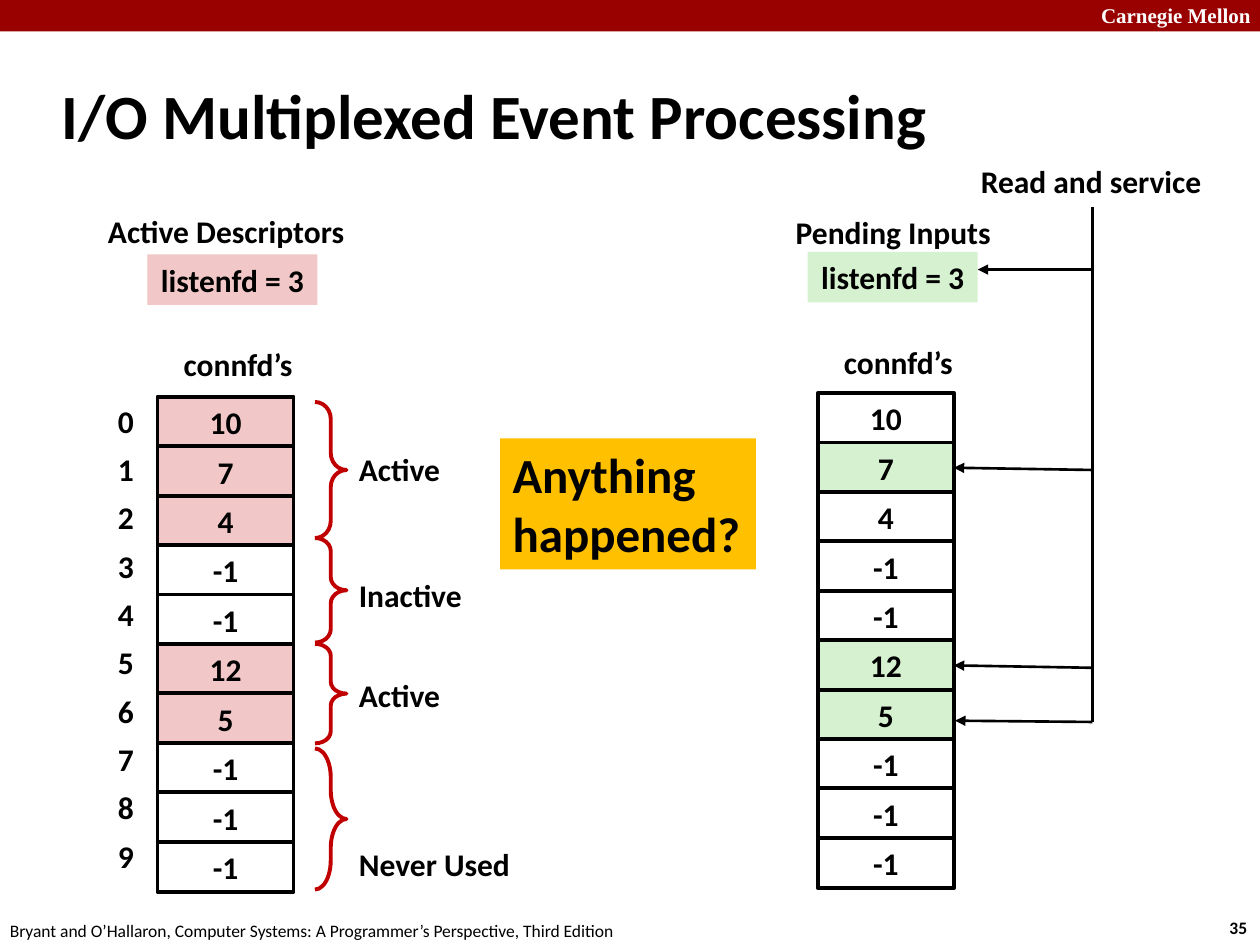
from typing import NamedTuple
from lxml import etree
from pptx import Presentation, util as u
from pptx.dml.color import RGBColor
from pptx.enum import shapes as sh, text as tx
from pptx.oxml.ns import qn

BLACK, WHITE, RED, PINK, GREEN = "000000", "FFFFFF", "C00000", "F1C7C7", "D5F1CF"
LEFT, MID, RIGHT = tx.PP_ALIGN.LEFT, tx.PP_ALIGN.CENTER, tx.PP_ALIGN.RIGHT
TOP, CENTER = tx.MSO_ANCHOR.TOP, tx.MSO_ANCHOR.MIDDLE
VALUES = [10, 7, 4, -1, -1, 12, 5, -1, -1, -1]
ROW = 0.4
CELL_STEP = 3.53 / 9
INDEX_STEP = 3.45 / 9


class Box(NamedTuple):
    x: float
    y: float
    w: float
    h: float = ROW


class Label(NamedTuple):
    box: Box
    words: str
    align: int = LEFT
    fmt: dict = {}


class Brace(NamedTuple):
    y: float
    h: float
    curve: float
    words: str
    word_y: float
    word_w: float


class Stack(NamedTuple):
    x: float
    y: float
    fill: str
    marked: set


def rgb(code: str) -> RGBColor:
    return RGBColor.from_string(code)


def inches(*sizes: float) -> list:
    return [u.Inches(size) for size in sizes]


def write(shape, words: str, align: int = LEFT, anchor=TOP, wrap: bool = True, **fmt) -> None:
    frame = shape.text_frame
    frame.text = words
    frame.auto_size = tx.MSO_AUTO_SIZE.NONE
    frame.word_wrap, frame.vertical_anchor = wrap, anchor
    look = {"name": "Calibri", "size": 18, "bold": True, "color": BLACK} | fmt
    color, look["size"] = rgb(look.pop("color")), u.Pt(look["size"])
    for para in frame.paragraphs:
        para.alignment = align
        for key, value in look.items():
            setattr(para.font, key, value)
        para.font.color.rgb = color


def add_label(slide, label: Label) -> None:
    area = slide.shapes.add_textbox(*inches(*label.box))
    write(area, label.words, label.align, **({"wrap": False} | label.fmt))


def add_block(slide, box: Box, fill: str = "", line: str = "",
              kind=sh.MSO_SHAPE.RECTANGLE):
    block = slide.shapes.add_shape(kind, *inches(*box))
    block.shadow.inherit = False
    if fill:
        block.fill.solid()
        block.fill.fore_color.rgb = rgb(fill)
    else:
        block.fill.background()
    if line:
        block.line.color.rgb = rgb(line)
        block.line.width = u.Pt(2.25)
    else:
        block.line.fill.background()
    return block


def add_stack(slide, stack: Stack) -> list:
    """Draw the column of descriptor cells and return them."""
    cells = []
    for row, value in enumerate(VALUES):
        fill = stack.fill if row in stack.marked else WHITE
        box = Box(stack.x, stack.y + row * CELL_STEP, 1.08)
        cell = add_block(slide, box, fill, BLACK)
        write(cell, str(value), MID, CENTER)
        cells.append(cell)
    return cells


def add_brace(slide, brace: Brace) -> None:
    mark = add_block(slide, Box(2.5, brace.y, 0.25, brace.h), line=RED,
                     kind=sh.MSO_SHAPE.RIGHT_BRACE)
    mark.adjustments[0] = brace.curve
    add_label(slide, Label(Box(2.75, brace.word_y, brace.word_w), brace.words))


def add_line(slide, x1: float, y1: float, x2: float, y2: float,
             arrow: bool = True, target=None) -> None:
    line = slide.shapes.add_connector(sh.MSO_CONNECTOR.STRAIGHT, *inches(x1, y1, x2, y2))
    line.line.color.rgb = rgb(BLACK)
    line.line.width = u.Pt(1.5)
    if arrow:
        etree.SubElement(line.line._get_or_add_ln(), qn("a:tailEnd"), type="triangle")
    etree.SubElement(line._element.spPr, qn("a:effectLst"))
    if target is not None:
        line.end_connect(target, 3)


def add_title(slide, words: str) -> None:
    title = slide.shapes.title
    title.left, title.top, title.width, title.height = inches(0.39, 0.49, 8.3, 0.83)
    write(title, words, anchor=CENTER, size=36)
    props = title.text_frame.paragraphs[0]._p.get_or_add_pPr()
    props.set("marL", str(u.Inches(0.13)))
    props.set("indent", str(u.Inches(-0.13)))


LABELS = [
    Label(Box(8.64, -0.03, 1.43, 0.3), "Carnegie Mellon", LEFT,
          {"name": "Times New Roman", "size": 12, "color": WHITE}),
    Label(Box(9.66, 7.23, 0.37, 0.27), "35", LEFT, {"size": 10}),
    Label(Box(-0.02, 7.25, 5.08, 0.27),
          "Bryant and O’Hallaron, Computer Systems: A Programmer’s Perspective, Third Edition",
          LEFT, {"size": 10, "bold": False}),
    Label(Box(0.75, 1.63, 2.09), "Active Descriptors", MID),
    Label(Box(1.34, 2.69, 1.1), "connfd’s", MID),
    Label(Box(6, 1.64, 2.18), "Pending Inputs", MID),
    Label(Box(6.58, 2.67, 1.1), "connfd’s", MID),
    Label(Box(7.57, 1.24, 2.18), "Read and service", MID),
]
BRACES = [
    Brace(3.19, 1.08, 0.54, "Active", 3.52, 0.85),
    Brace(4.27, 0.83, 0.42, "Inactive", 4.52, 1.03),
    Brace(5.11, 0.79, 0.38, "Active", 5.32, 0.85),
    Brace(5.94, 1.12, 0.92, "Never Used", 6.66, 1.42),
]
LISTENERS = [(Box(1.17, 2.02, 1.35), PINK), (Box(6.41, 2, 1.35), GREEN)]
ACTIVE = Stack(1.25, 3.15, PINK, {0, 1, 2, 5, 6})
PENDING = Stack(6.49, 3.12, GREEN, {1, 5, 6})


def main() -> None:
    deck = Presentation()
    deck.slide_width, deck.slide_height = inches(10, 7.5)
    slide = deck.slides.add_slide(deck.slide_layouts[5])

    add_block(slide, Box(0, 0, 10, 0.25), "990000")
    add_title(slide, "I/O Multiplexed Event Processing")
    for label in LABELS:
        add_label(slide, label)

    add_stack(slide, ACTIVE)
    for row in range(len(VALUES)):
        box = Box(0.08, 3.14 + row * INDEX_STEP, 1.08)
        add_label(slide, Label(box, str(row), RIGHT, {"anchor": CENTER, "wrap": True}))
    for brace in BRACES:
        add_brace(slide, brace)

    cells = add_stack(slide, PENDING)
    for box, fill in LISTENERS:
        write(add_block(slide, box, fill), "listenfd = 3", MID, wrap=False)

    trunk = 8.67
    add_line(slide, trunk, 2.14, 7.76, 2.14)
    for row, y in [(1, 3.73), (5, 5.3)]:
        add_line(slide, trunk, y, 7.57, y, target=cells[row])
    add_line(slide, trunk, 5.73, 7.58, 5.72)
    add_line(slide, trunk, 5.73, trunk, 1.64, arrow=False)

    note = add_block(slide, Box(3.97, 3.48, 2.03, 1.04), "FFC000")
    write(note, "Anything\nhappened?", wrap=False, size=28)

    deck.save("out.pptx")


if __name__ == "__main__":
    main()
